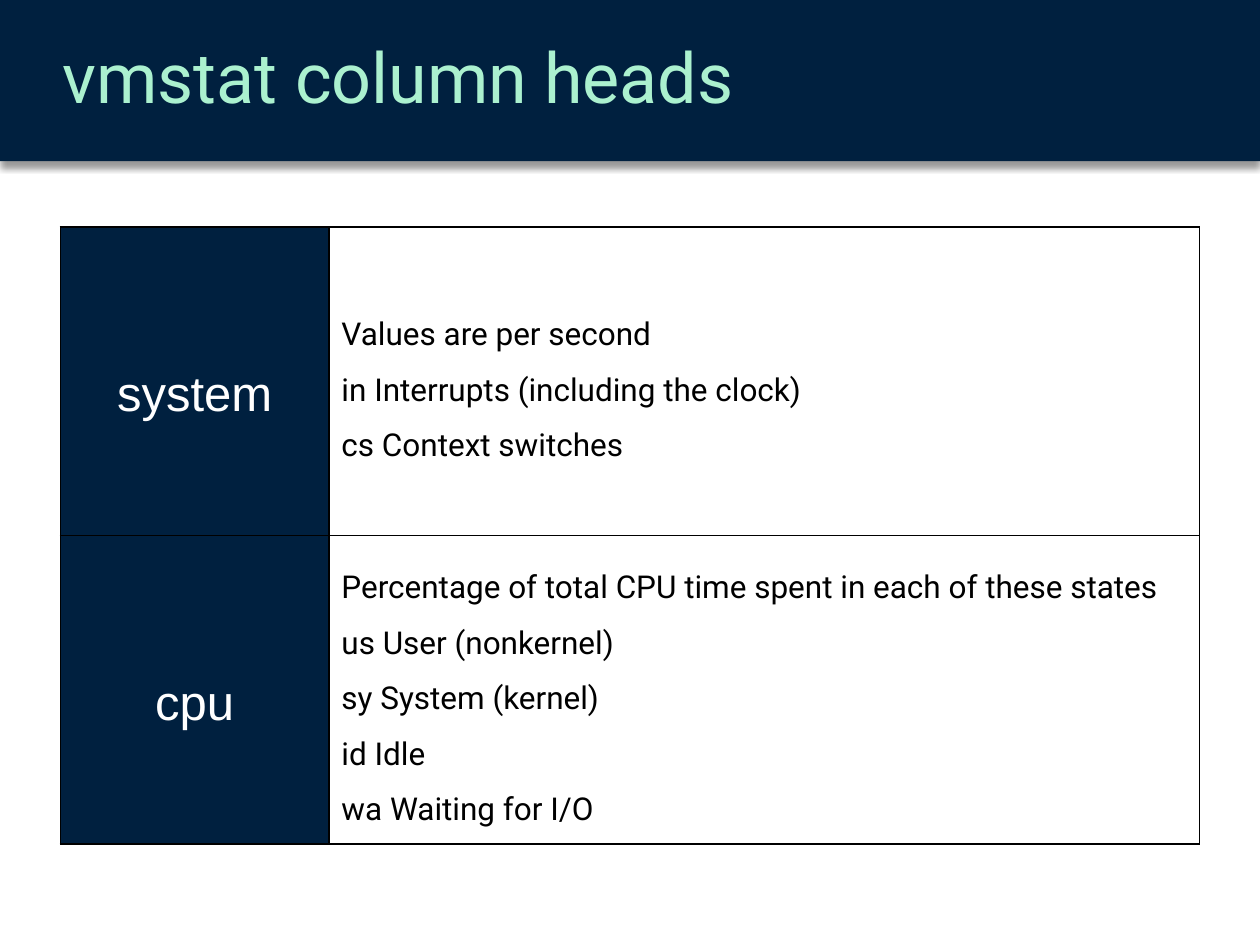
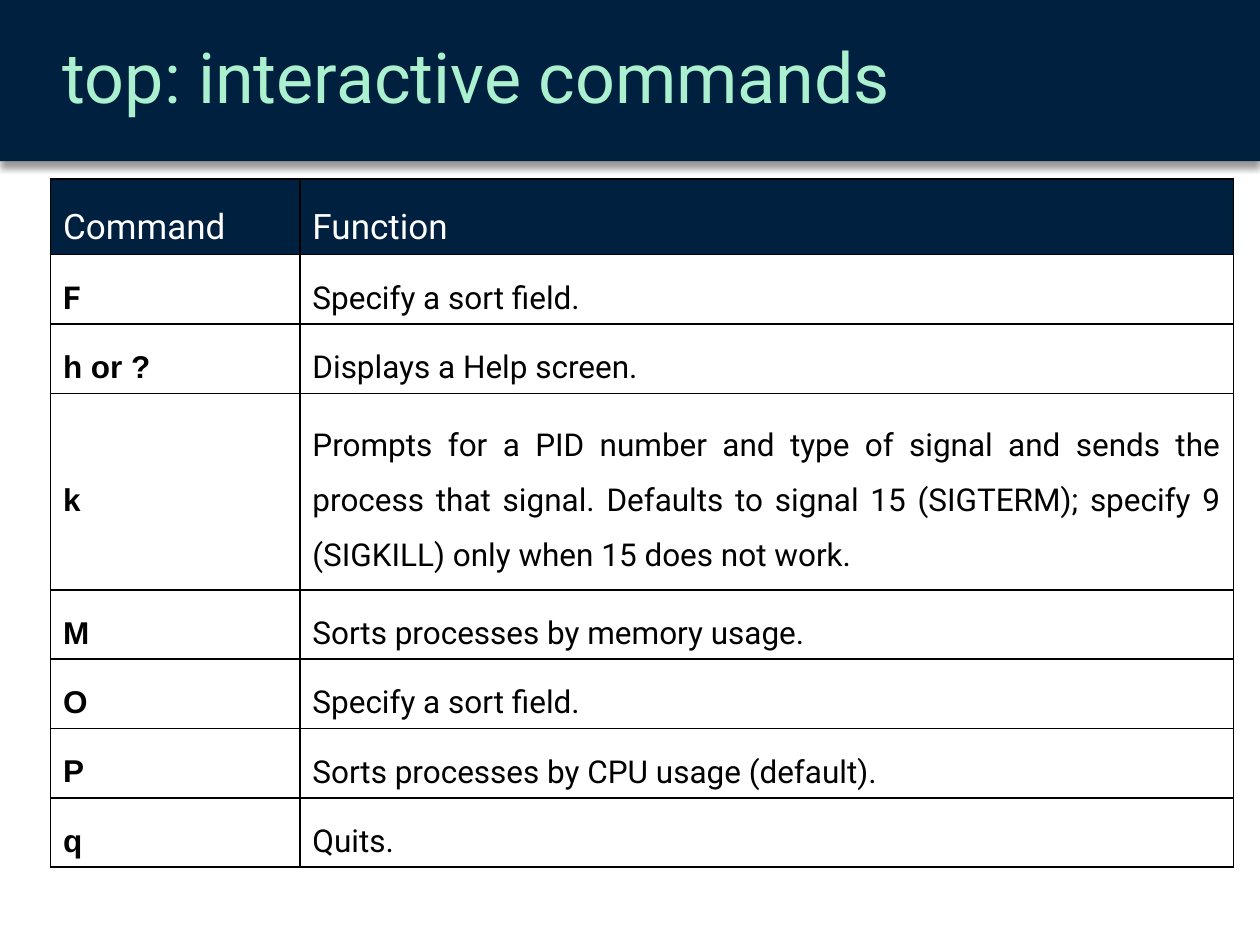
from lxml import etree
from pptx import Presentation
from pptx.dml.color import RGBColor
from pptx.enum import shapes, text
from pptx.oxml import parse_xml
from pptx.oxml.ns import nsdecls, qn
from pptx.util import Inches, Pt

NAVY = RGBColor(0x00, 0x20, 0x3F)
MINT = RGBColor(0xAB, 0xF1, 0xCF)
WHITE = RGBColor(0xFF, 0xFF, 0xFF)
BLACK = RGBColor(0x00, 0x00, 0x00)
SANS, ALT = "Roboto", "Arial"
SLIDE_W, SLIDE_H, BAND_H = 10, 7.5, 1.28
CENTER, JUSTIFY = text.PP_ALIGN.CENTER, text.PP_ALIGN.JUSTIFY

VMSTAT_GROUPS = [
    ("system", ["Values are per second",
                "in Interrupts (including the clock)",
                "cs Context switches"]),
    ("cpu", ["Percentage of total CPU time spent in each of these states",
             "us User (nonkernel)",
             "sy System (kernel)",
             "id Idle",
             "wa Waiting for I/O"]),
]
TOP_COMMANDS = [
    ("F", "Specify a sort field."),
    ("h or ?", "Displays a Help screen."),
    ("k", "Prompts for a PID number and type of signal and sends the process "
          "that signal. Defaults to signal 15 (SIGTERM); specify 9 (SIGKILL) "
          "only when 15 does not work."),
    ("M", "Sorts processes by memory usage."),
    ("O", "Specify a sort field."),
    ("P", "Sorts processes by CPU usage (default)."),
    ("q", "Quits."),
]


def add_run(p, words, size, color, font=SANS, bold=False):
    r = p.add_run()
    r.text = words
    r.font.size = Pt(size)
    r.font.name = font
    r.font.bold = bold
    r.font.color.rgb = color


def add_shadow(sp):
    """Give a shape a soft shadow that falls straight down."""
    sp.shadow.inherit = False
    effects = sp._element.spPr.find(qn("a:effectLst"))
    effects.append(parse_xml(
        f'<a:outerShdw {nsdecls("a")} blurRad="{Pt(4)}" dist="{Pt(3)}" '
        'dir="5400000" algn="t" rotWithShape="0"><a:srgbClr val="000000">'
        '<a:alpha val="40000"/></a:srgbClr></a:outerShdw>'))


def add_titled_slide(prs, title):
    s = prs.slides.add_slide(prs.slide_layouts[6])
    band = s.shapes.add_shape(shapes.MSO_SHAPE.RECTANGLE, 0, 0,
                              Inches(SLIDE_W), Inches(BAND_H))
    band.fill.solid()
    band.fill.fore_color.rgb = NAVY
    band.line.fill.background()
    add_shadow(band)

    tf = s.shapes.add_textbox(Inches(0.4), 0, Inches(9.6),
                              Inches(BAND_H)).text_frame
    tf.word_wrap = True
    tf.vertical_anchor = text.MSO_ANCHOR.MIDDLE
    p = tf.paragraphs[0]
    p.line_spacing = 0.9
    p.space_after = Pt(6)
    add_run(p, title, 40, MINT)
    return s


def set_borders(cell):
    tc_pr = cell._tc.get_or_add_tcPr()
    for i, side in enumerate("LRTB"):
        ln = etree.Element(qn(f"a:ln{side}"), w=str(Pt(1)))
        fill = etree.SubElement(ln, qn("a:solidFill"))
        etree.SubElement(fill, qn("a:srgbClr"), val=str(BLACK))
        tc_pr.insert(i, ln)


def add_grid(s, left, top, widths, heights):
    """Add an empty white table with black borders."""
    table = s.shapes.add_table(
        len(heights), len(widths), Inches(left), Inches(top),
        Inches(sum(widths)), Inches(sum(heights))).table
    table.first_row = table.horz_banding = False
    for column, width in zip(table.columns, widths):
        column.width = Inches(width)
    for row, height in zip(table.rows, heights):
        row.height = Inches(height)
    for cell in table.iter_cells():
        set_borders(cell)
    return table


def fill_cell(cell, lines, size=18, color=BLACK, back=WHITE, align=JUSTIFY,
              **run_style):
    cell.fill.solid()
    cell.fill.fore_color.rgb = back
    cell.vertical_anchor = text.MSO_ANCHOR.MIDDLE
    tf = cell.text_frame
    for i, line in enumerate(lines):
        p = tf.add_paragraph() if i else tf.paragraphs[0]
        p.alignment = align
        p.line_spacing = 1.5
        add_run(p, line, size, color, **run_style)


def add_vmstat_slide(prs):
    s = add_titled_slide(prs, "vmstat column heads")
    table = add_grid(s, 0.48, 1.8, [2.13, 6.91], [2.45] * len(VMSTAT_GROUPS))
    for i, (group, lines) in enumerate(VMSTAT_GROUPS):
        fill_cell(table.cell(i, 0), [group], 28, WHITE, NAVY, CENTER, font=ALT)
        fill_cell(table.cell(i, 1), lines)


def add_top_slide(prs):
    s = add_titled_slide(prs, "top: interactive commands")
    heights = [0.55] + [1.56 if key == "k" else 0.55 for key, _ in TOP_COMMANDS]
    table = add_grid(s, 0.4, 1.42, [1.98, 7.41], heights)
    for i, head in enumerate(["Command", "Function"]):
        fill_cell(table.cell(0, i), [head], 20, WHITE, NAVY)
    for i, (key, function) in enumerate(TOP_COMMANDS, 1):
        fill_cell(table.cell(i, 0), [key], bold=True,
                  font=SANS if key == "F" else ALT)
        fill_cell(table.cell(i, 1), [function])


def main():
    prs = Presentation()
    prs.slide_width = Inches(SLIDE_W)
    prs.slide_height = Inches(SLIDE_H)
    add_vmstat_slide(prs)
    add_top_slide(prs)
    prs.save("out.pptx")


if __name__ == "__main__":
    main()
